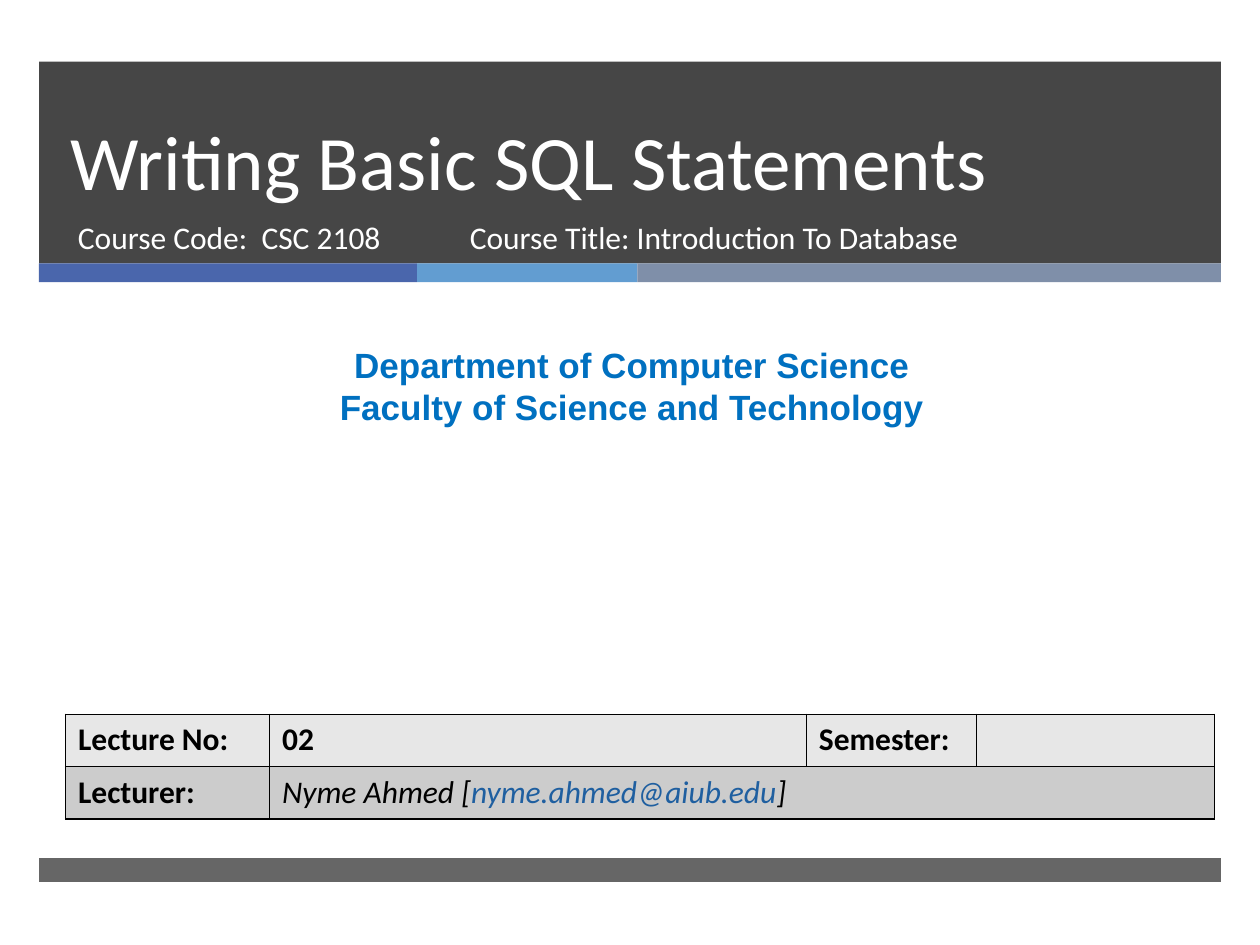
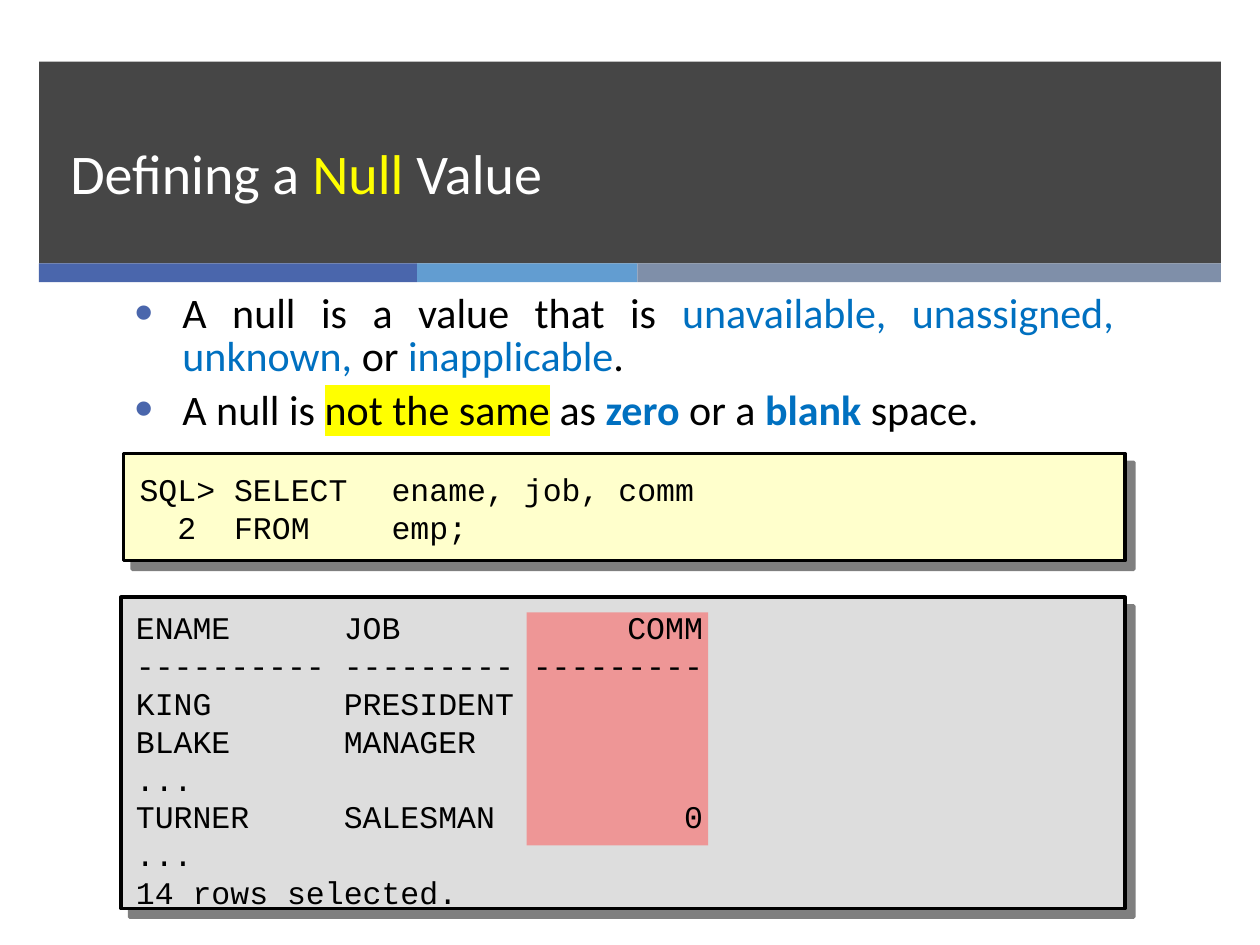
from lxml import etree
from pptx import Presentation
from pptx.dml.color import RGBColor
from pptx.enum.shapes import MSO_SHAPE
from pptx.enum.text import MSO_ANCHOR, PP_ALIGN
from pptx.oxml.ns import qn
from pptx.util import Inches, Pt

RECTANGLE = MSO_SHAPE.RECTANGLE
TOP, MIDDLE, BOTTOM = MSO_ANCHOR.TOP, MSO_ANCHOR.MIDDLE, MSO_ANCHOR.BOTTOM
CENTER, JUSTIFY = PP_ALIGN.CENTER, PP_ALIGN.JUSTIFY

WHITE = RGBColor(0xFF, 0xFF, 0xFF)
BLACK = RGBColor(0, 0, 0)
CHARCOAL = RGBColor(0x26, 0x26, 0x26)
INDIGO = RGBColor(0x4A, 0x66, 0xAC)
SKY = RGBColor(0x62, 0x9D, 0xD1)
SLATE = RGBColor(0x7F, 0x8F, 0xA9)
BLUE = RGBColor(0x00, 0x70, 0xC0)
MAIL_BLUE = RGBColor(0x1F, 0x5F, 0xA0)
YELLOW = RGBColor(0xFF, 0xFF, 0x00)
CREAM = RGBColor(0xFF, 0xFF, 0xCC)
SILVER = RGBColor(0xDD, 0xDD, 0xDD)
RED = RGBColor(0xFF, 0x50, 0x50)
ROW_LIGHT = RGBColor(0xE7, 0xE7, 0xE7)
ROW_DARK = RGBColor(0xCC, 0xCC, 0xCC)

BODY, HEADING, CODE = "Calibri", "Arial", "Courier New"
BAND_LEFT, BAND_WIDTH = 0.31, 9.38
STRIPES = [(3, INDIGO), (1.75, SKY), (4.63, SLATE)]


def sub(parent, tag, **attributes):
    return etree.SubElement(parent, qn(tag), **attributes)


def add_color(parent, color, alpha=None):
    srgb = sub(parent, "a:srgbClr", val=str(color))
    if alpha is not None:
        sub(srgb, "a:alpha", val=str(alpha * 1000))


def add_rect(slide, box, fill, alpha=None, framed=False):
    """Plain rectangle; a framed one has a black outline and a hard shadow."""
    rect = slide.shapes.add_shape(RECTANGLE, *map(Inches, box))
    rect.fill.solid()
    rect.fill.fore_color.rgb = fill
    if alpha is not None:
        srgb = rect.fill._xPr.find(".//" + qn("a:srgbClr"))
        sub(srgb, "a:alpha", val=str(alpha * 1000))
    if framed:
        rect.line.color.rgb = BLACK
        rect.line.width = Pt(2)
    else:
        rect.line.fill.background()
    rect.shadow.inherit = False
    if framed:
        effects = rect._element.spPr.find(qn("a:effectLst"))
        shadow = sub(effects, "a:outerShdw", blurRad="0", dist=str(Pt(7.1)),
                     dir=str(45 * 60000), algn="ctr", rotWithShape="0")
        add_color(shadow, BLACK, 50)


def add_run(paragraph, text, size, font=BODY, color=BLACK, bold=False,
            italic=False, highlight=None):
    run = paragraph.add_run()
    run.text = text
    run.font.size = Pt(size)
    run.font.name = font
    run.font.bold = bold
    run.font.italic = italic
    run.font.color.rgb = color
    if highlight is not None:
        mark = etree.Element(qn("a:highlight"))
        add_color(mark, highlight)
        run._r.rPr.find(qn("a:solidFill")).addnext(mark)


def add_text(slide, box, lines, size, anchor=TOP, align=None, spacing=None,
             tabs=(), **style):
    """Text box; each line is a list of (text, style changes) runs."""
    frame = slide.shapes.add_textbox(*map(Inches, box)).text_frame
    frame.word_wrap = True
    frame.vertical_anchor = anchor
    for i, runs in enumerate(lines):
        paragraph = frame.paragraphs[0] if i == 0 else frame.add_paragraph()
        paragraph.alignment = align
        paragraph.line_spacing = spacing
        if tabs:
            stops = sub(paragraph._p.get_or_add_pPr(), "a:tabLst")
            for tab in tabs:
                sub(stops, "a:tab", pos=str(Inches(tab)), algn="l")
        for text, changes in runs:
            add_run(paragraph, text, size, **{**style, **changes})
    return frame


def plain(*texts):
    return [[(text, {})] for text in texts]


def add_title(slide, runs, size):
    add_text(slide, (0.46, 0.49, 8.54, 1.19), [runs], size, BOTTOM,
             spacing=Pt(46), color=WHITE)


def add_bullets(slide, box, items, size):
    frame = add_text(slide, box, items, size, align=JUSTIFY, spacing=0.85)
    for i, paragraph in enumerate(frame.paragraphs):
        paragraph.level = 1
        paragraph.space_before = Pt(6 if i else 0)
        properties = paragraph._p.get_or_add_pPr()
        properties.set("marL", str(Inches(0.88)))
        properties.set("indent", str(Inches(-0.38)))
        add_color(sub(properties, "a:buClr"), INDIGO)
        sub(properties, "a:buSzPct", val="125000")
        sub(properties, "a:buFont", typeface="Arial")
        sub(properties, "a:buChar", char="•")


def style_cell(cell, fill):
    properties = cell._tc.get_or_add_tcPr()
    for side in ("a:lnL", "a:lnR", "a:lnT", "a:lnB"):
        border = sub(properties, side, w=str(Pt(1)))
        add_color(sub(border, "a:solidFill"), BLACK)
    cell.fill.solid()
    cell.fill.fore_color.rgb = fill


def add_lecture_table(slide, box, widths, rows):
    table = slide.shapes.add_table(len(rows), len(widths),
                                   *map(Inches, box)).table
    table.first_row = table.horz_banding = False
    for column, width in zip(table.columns, widths):
        column.width = Inches(width)
    for r, (fill, cells) in enumerate(rows):
        for c in range(len(widths)):
            style_cell(table.cell(r, c), fill)
        for c, runs in enumerate(cells):
            for text, changes in runs:
                add_run(table.cell(r, c).text_frame.paragraphs[0], text, 18,
                        **changes)
    table.cell(1, 1).merge(table.cell(1, len(widths) - 1))


def add_slide(prs):
    """Blank slide with the dark title band and its three stripes."""
    slide = prs.slides.add_slide(prs.slide_layouts[6])
    add_rect(slide, (BAND_LEFT, 0.49, BAND_WIDTH, 1.6), CHARCOAL, 85)
    left = BAND_LEFT
    for width, color in STRIPES:
        add_rect(slide, (left, 2.09, width, 0.15), color)
        left += width
    return slide


def build_cover(prs):
    slide = add_slide(prs)
    add_rect(slide, (BAND_LEFT, 6.81, BAND_WIDTH, 0.19), CHARCOAL, 70)
    add_title(slide, [("Writing Basic SQL Statements", {})], 44)

    # Course details and department
    add_text(slide, (0.52, 1.68, 3.05, 0.53), plain("Course Code:  CSC 2108"),
             18, color=WHITE)
    add_text(slide, (3.63, 1.68, 4.55, 0.53),
             plain("Course Title: Introduction To Database"), 18, color=WHITE)
    add_text(slide, (0.08, 2.68, 9.87, 0.77),
             plain("Department of Computer Science",
                   "Faculty of Science and Technology"),
             20, align=CENTER, font=HEADING, color=BLUE, bold=True)

    # Lecture details
    bold, italic = {"bold": True}, {"italic": True}
    add_lecture_table(slide, (0.52, 5.67, 9.12, 0.83), (1.62, 4.26, 1.35, 1.89), [
        (ROW_LIGHT, [[("Lecture No:", bold)], [("02", bold)],
                     [("Semester:", bold)]]),
        (ROW_DARK, [[("Lecturer:", bold)],
                    [("Nyme Ahmed [", italic),
                     ("nyme.ahmed@aiub.edu", {**italic, "color": MAIL_BLUE}),
                     ("]", italic)]]),
    ])


def build_null_value(prs):
    slide = add_slide(prs)
    add_title(slide, [("Defining a ", {}), ("Null", {"color": YELLOW}),
                      (" Value", {})], 32)

    # Definition
    blue = {"color": BLUE}
    strong = {"color": BLUE, "bold": True}
    add_bullets(slide, (0.47, 2.29, 8.47, 1.24), [
        [("A null is a value that is ", {}),
         ("unavailable, unassigned, unknown,", blue), (" or ", {}),
         ("inapplicable", blue), (".", {})],
        [("A null is ", {}), ("not the same", {"highlight": YELLOW}),
         (" as ", {}), ("zero", strong), (" or a ", {}), ("blank", strong),
         (" space.", {})],
    ], 24)

    # Query
    add_rect(slide, (0.98, 3.6, 7.95, 0.85), CREAM, framed=True)
    add_text(slide, (1.01, 3.59, 7.97, 0.88),
             plain("SQL> SELECT \tename, job, comm", "  2  FROM\t\temp;"),
             18, MIDDLE, tabs=(1.75, 2), font=CODE)

    # Query result with the COMM column marked
    add_rect(slide, (0.96, 4.74, 7.97, 2.47), SILVER, framed=True)
    add_rect(slide, (4.18, 4.86, 1.44, 1.85), RED, 50)
    add_text(slide, (0.98, 4.78, 7.95, 2.5),
             plain("ENAME      JOB            COMM",
                   "---------- --------- ---------",
                   "KING       PRESIDENT",
                   "BLAKE      MANAGER",
                   "...",
                   "TURNER     SALESMAN          0",
                   "...",
                   "14 rows selected."),
             18, font=CODE)


def main():
    prs = Presentation()
    prs.slide_width, prs.slide_height = Inches(10), Inches(7.5)
    build_cover(prs)
    build_null_value(prs)
    prs.save("out.pptx")


if __name__ == "__main__":
    main()
